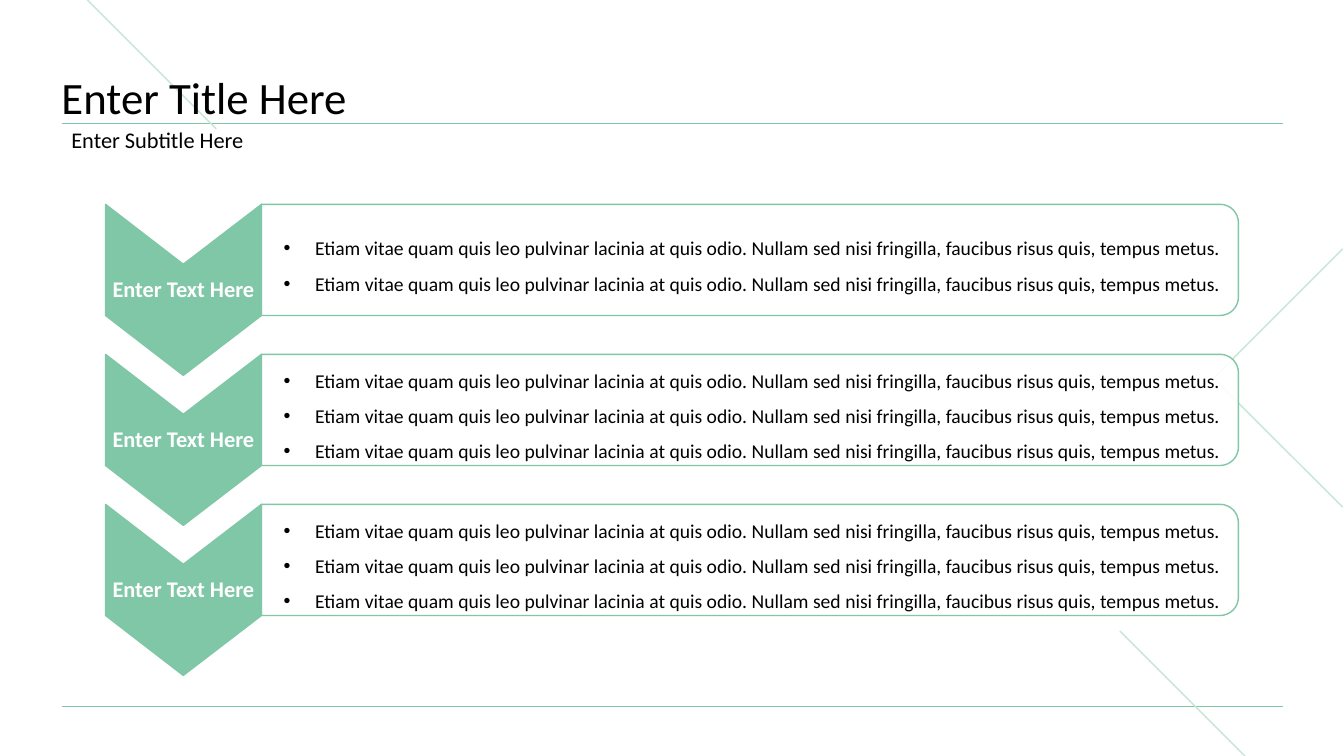
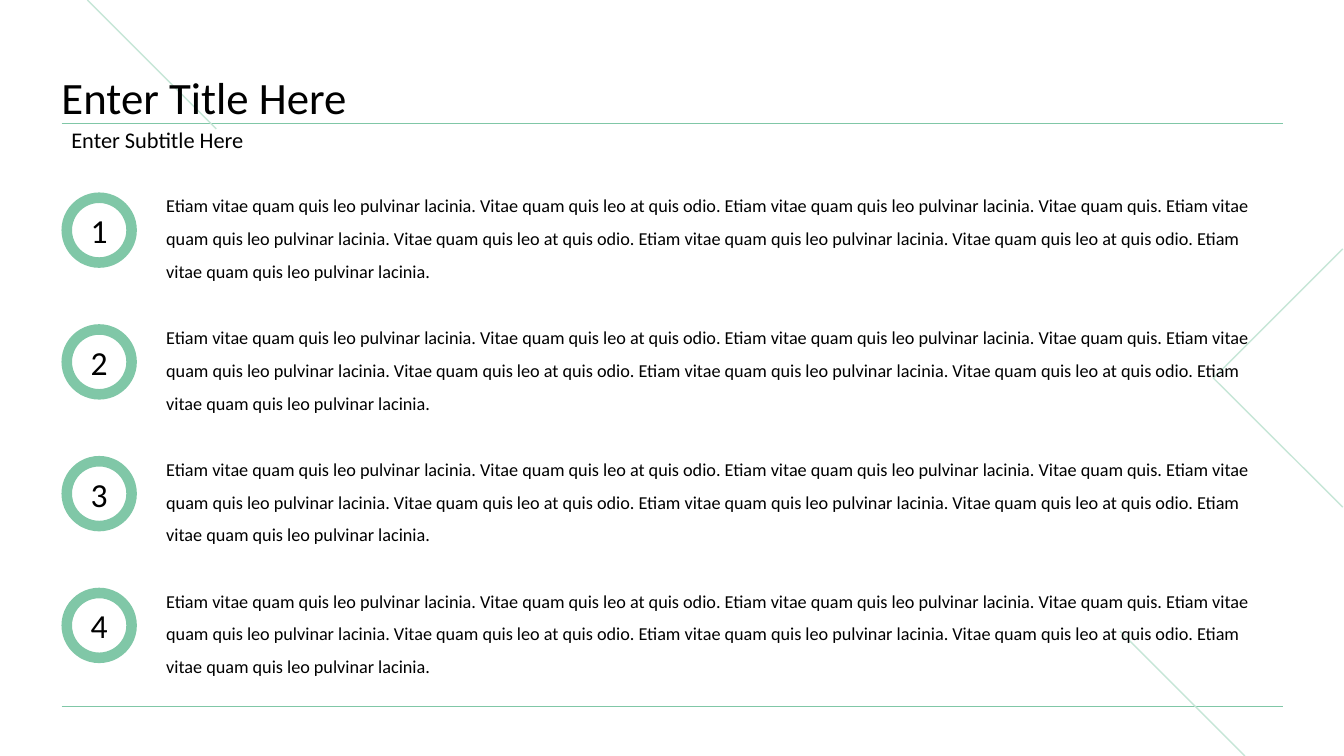
from math import cos, pi, sin
from lxml.etree import SubElement
from pptx import Presentation
from pptx.dml.color import RGBColor
from pptx.enum.shapes import MSO_CONNECTOR, MSO_SHAPE
from pptx.enum.text import MSO_ANCHOR, PP_ALIGN
from pptx.oxml.ns import qn
from pptx.util import Cm, Pt

FONT = "Calibri"
GREEN, PALE, BLACK, WHITE = "80C7A7", "C6E6D7", "000000", "FFFFFF"
LEFT, RIGHT, RULE, BASE = 1.55, 32.33, 3.12, 17.81
WIDE, HIGH = 33.87, 19.05
hue = RGBColor.from_string


def outline(slide, points, fill, line, closed=True):
    spots = [(Cm(x), Cm(y)) for x, y in points]
    pen = slide.shapes.build_freeform(*spots[0])
    pen.add_line_segments(spots[1:], close=closed)
    shape = pen.convert_to_shape()
    shape.shadow.inherit = False
    if fill:
        shape.fill.solid()
        shape.fill.fore_color.rgb = hue(fill)
    else:
        shape.fill.background()
    shape.line.color.rgb = hue(line)
    shape.line.width = Pt(1)
    return shape


def write(shape, lines, size, tone=BLACK, space=1.0, align=PP_ALIGN.LEFT,
          anchor=MSO_ANCHOR.MIDDLE, pad=(0.25, 0.13, 0.25, 0.13), bold=False):
    frame = shape.text_frame
    frame.word_wrap = True
    frame.vertical_anchor = anchor
    (frame.margin_left, frame.margin_top,
     frame.margin_right, frame.margin_bottom) = map(Cm, pad)
    for i, text in enumerate(lines):
        para = frame.add_paragraph() if i else frame.paragraphs[0]
        para.alignment = align
        para.line_spacing = space
        run = para.add_run()
        run.text = text
        run.font.name = FONT
        run.font.size = Pt(size)
        run.font.bold = bold
        run.font.color.rgb = hue(tone)


deck = Presentation()
deck.slide_width, deck.slide_height = Cm(WIDE), Cm(HIGH)
blank = deck.slide_layouts[6]
steps, list_page = [deck.slides.add_slide(blank) for _ in range(2)]

rules = [
    (LEFT, BASE, RIGHT, BASE, GREEN, 0.5),
    (LEFT, RULE, RIGHT, RULE, GREEN, 0.5),
    (28.22, 15.9, 31.37, HIGH, PALE, 1),
    (2.2, 0, 5.45, 3.25, PALE, 1),
]
for slide in deck.slides:
    for x, y, end_x, end_y, tone, width in rules:
        line = slide.shapes.add_connector(
            MSO_CONNECTOR.STRAIGHT, Cm(x), Cm(y), Cm(end_x), Cm(end_y))
        line.line.color.rgb = hue(tone)
        line.line.width = Pt(width)
        SubElement(line._element.spPr, qn("a:effectLst"))
    outline(slide, [(33.84, 6.27), (30.58, 9.53), (33.84, 12.78)],
            None, PALE, closed=False)
    title = slide.shapes.add_textbox(
        Cm(LEFT), Cm(1.1), Cm(RIGHT - LEFT), Cm(2.02))
    write(title, ["Enter Title Here"], 32, space=0.9,
          anchor=MSO_ANCHOR.BOTTOM, pad=(0, 0, 0, 0))
    sub = slide.shapes.add_textbox(
        Cm(LEFT), Cm(RULE), Cm(RIGHT - LEFT), Cm(0.87))
    write(sub, ["Enter Subtitle Here"], 16, space=0.9)

POINT = ("Etiam vitae quam quis leo pulvinar lacinia at quis odio. "
         "Nullam sed nisi fringilla, faucibus risus quis, tempus metus.")
start, mid, edge, far = 2.66, 4.62, 6.59, 31.21
notch, side, bend = 1.51, 2.8, 0.46
turns = [i * pi / 16 for i in range(9)]
for row, count in enumerate((2, 3, 3)):
    top = 5.15 + row * 3.78
    low = top + side
    arrow = outline(steps, [
        (edge, top), (edge, low), (mid, low + notch),
        (start, low), (start, top), (mid, top + notch)], GREEN, GREEN)
    write(arrow, ["Enter Text Here"], 16, WHITE, 0.9, PP_ALIGN.CENTER,
          pad=(0.02, 1.55, 0.02, 1.55), bold=True)

    upper = [(far - bend + bend * sin(t), top + bend - bend * cos(t))
             for t in turns]
    lower = [(far - bend + bend * cos(t), low - bend + bend * sin(t))
             for t in turns]
    panel = outline(steps, [(edge, top), *upper, *lower, (edge, low)],
                    WHITE, GREEN)
    shade = panel._element.spPr.find(qn("a:solidFill"))[0]
    SubElement(shade, qn("a:alpha")).set("val", "90000")
    write(panel, [POINT] * count, 14, space=1.5, pad=(0.56, 0.18, 0.18, 0.18))
    for para in panel.text_frame.paragraphs:
        props = para._p.get_or_add_pPr()
        props.set("marL", str(Cm(0.79)))
        props.set("indent", str(-Cm(0.79)))
        SubElement(props, qn("a:buFont")).set("typeface", "Arial")
        SubElement(props, qn("a:buChar")).set("char", "•")

LEAD = "Etiam vitae quam quis leo pulvinar lacinia."
TAIL = "Vitae quam quis leo at quis odio."
BODY = " ".join([LEAD, TAIL, LEAD, "Vitae quam quis.",
                 LEAD, TAIL, LEAD, TAIL, LEAD])
for row in range(4):
    top = 4.5 + row * 3.32
    note = list_page.shapes.add_textbox(Cm(3.94), Cm(top), Cm(28.4), Cm(2.67))
    write(note, [BODY], 13, space=1.5, anchor=MSO_ANCHOR.TOP)
    ring = list_page.shapes.add_shape(
        MSO_SHAPE.DONUT, Cm(LEFT), Cm(top + 0.35), Cm(1.9), Cm(1.9))
    ring.adjustments[0] = 0.14
    ring.shadow.inherit = False
    ring.fill.solid()
    ring.fill.fore_color.rgb = hue(GREEN)
    ring.line.fill.background()
    write(ring, [str(row + 1)], 24, align=PP_ALIGN.CENTER)

deck.save("out.pptx")
